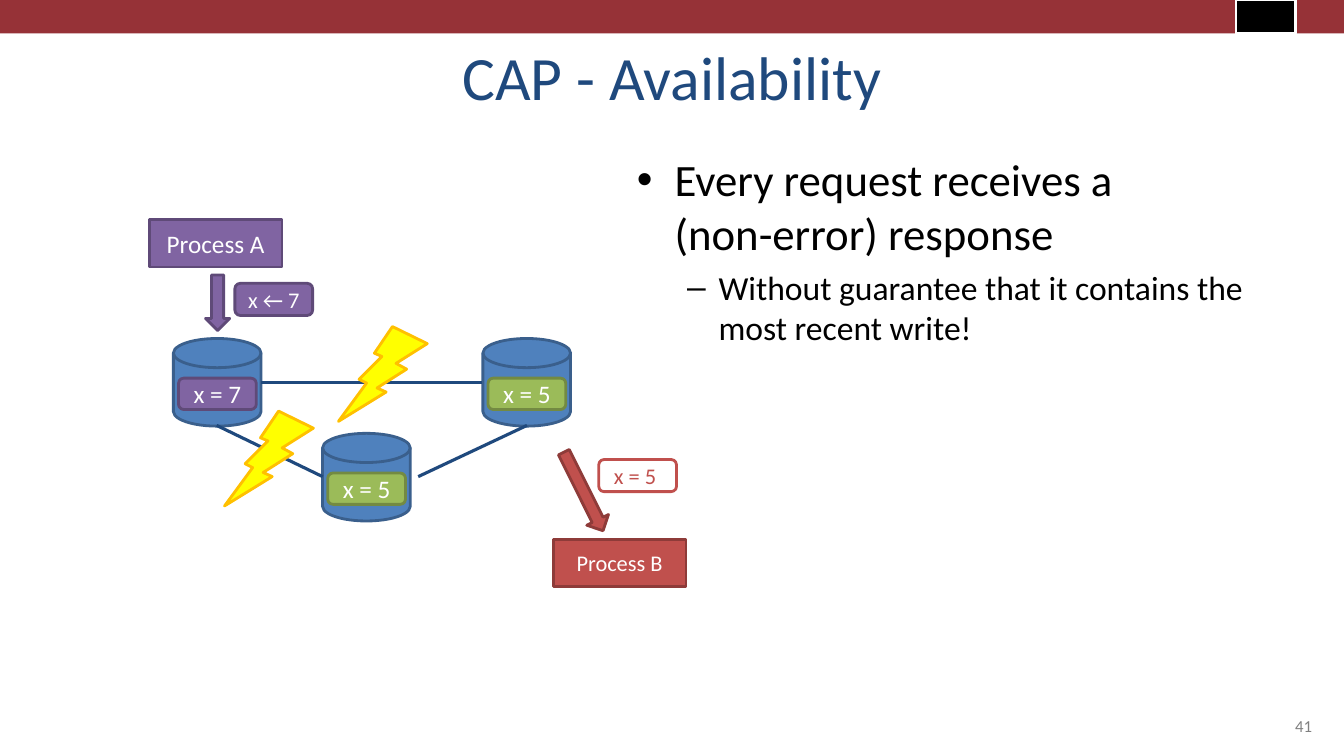
"""Build the CAP availability slide with its replicated store diagram."""
from lxml import etree
from pptx import Presentation
from pptx import util as u
from pptx.dml.color import RGBColor
from pptx.enum import shapes, text
from pptx.oxml import ns

CRIMSON = RGBColor(0x96, 0x32, 0x37)
NAVY = RGBColor(0x1F, 0x49, 0x7D)
BLACK = RGBColor(0x00, 0x00, 0x00)
WHITE = RGBColor(0xFF, 0xFF, 0xFF)
GRAY = RGBColor(0x80, 0x80, 0x80)
RED = RGBColor(0xC0, 0x50, 0x4D)
DARK_RED = RGBColor(0x8E, 0x3B, 0x39)
BLUE = RGBColor(0x4F, 0x81, 0xBD)
DARK_BLUE = RGBColor(0x3A, 0x5F, 0x8C)
PURPLE = RGBColor(0x80, 0x64, 0xA2)
DARK_PURPLE = RGBColor(0x5F, 0x4A, 0x78)
GREEN = RGBColor(0x9B, 0xBB, 0x59)
DARK_GREEN = RGBColor(0x73, 0x8A, 0x42)
YELLOW = RGBColor(0xFF, 0xFF, 0x00)
AMBER = RGBColor(0xFF, 0xC0, 0x00)

KIND = shapes.MSO_SHAPE
ALIGN = text.PP_ALIGN
ANCHOR = text.MSO_ANCHOR


def write(paragraph, words, size, color, align):
    paragraph.text = words
    paragraph.alignment = align
    font_format = {"name": "Calibri", "size": u.Pt(size)}
    for name, value in font_format.items():
        setattr(paragraph.font, name, value)
    paragraph.font.color.rgb = color


def add_block(kind, box, fill, outline, words="", size=18, color=WHITE):
    shape = slide.shapes.add_shape(kind, *map(u.Cm, box))
    shape.shadow.inherit = False
    shape.fill.solid()
    shape.fill.fore_color.rgb = fill
    shape.line.color.rgb = outline
    shape.line.width = u.Pt(2)
    if words:
        shape.text_frame.vertical_anchor = ANCHOR.MIDDLE
        write(shape.text_frame.paragraphs[0], words, size, color, ALIGN.CENTER)
    return shape


presentation = Presentation()
presentation.slide_width = u.Cm(33.87)
presentation.slide_height = u.Cm(19.05)
slide = presentation.slides.add_slide(presentation.slide_layouts[6])

band = add_block(KIND.RECTANGLE, (0, 0, 33.87, 0.84), CRIMSON, CRIMSON)
band.line.fill.background()
add_block(KIND.RECTANGLE, (31.15, 0, 1.5, 0.84), BLACK, WHITE)

captions = [
    ((1.7, 0.76, 30.48, 2.21), "CAP - Availability", 44, NAVY, ALIGN.CENTER),
    ((24.28, 17.35, 9.04, 1.32), "41", 12, GRAY, ALIGN.RIGHT),
]
for box, words, size, color, align in captions:
    frame = slide.shapes.add_textbox(*map(u.Cm, box)).text_frame
    frame.word_wrap = True
    frame.vertical_anchor = ANCHOR.BOTTOM
    write(frame.paragraphs[0], words, size, color, align)

body = slide.shapes.add_textbox(u.Cm(15.8), u.Cm(3.71), u.Cm(17.32), u.Cm(13.64)).text_frame
body.word_wrap = True
points = [
    ("Every request receives a \v(non-error) response", 32, "•", 0.95, 0.95, 0),
    ("Without guarantee that it contains the most recent write!", 24, "–", 2.06, 0.79, 4.8),
]
for level, (words, size, bullet, margin, hanging, before) in enumerate(points):
    paragraph = body.add_paragraph() if level else body.paragraphs[0]
    paragraph.level = level
    paragraph.space_before = u.Pt(before)
    properties = paragraph._p.get_or_add_pPr()
    properties.set("marL", str(u.Cm(margin)))
    properties.set("indent", str(-u.Cm(hanging)))
    etree.SubElement(properties, ns.qn("a:buFont")).set("typeface", "Arial")
    etree.SubElement(properties, ns.qn("a:buChar")).set("char", bullet)
    write(paragraph, words, size, BLACK, ALIGN.LEFT)

add_block(KIND.RECTANGLE, (13.94, 13.59, 3.35, 1.19), RED, DARK_RED, "Process B", 16)
reply_arrow = add_block(KIND.DOWN_ARROW, (14.4, 11.28, 0.61, 2.21), RED, DARK_RED)
reply_arrow.rotation = 333.5
add_block(KIND.ROUNDED_RECTANGLE, (15.09, 11.58, 1.96, 0.81), WHITE, RED, "x = 5 ", 16, RED)

replicas = [
    (4.37, 8.53, "x = 7", PURPLE, DARK_PURPLE),
    (8.13, 10.92, "x = 5", GREEN, DARK_GREEN),
    (12.17, 8.53, "x = 5", GREEN, DARK_GREEN),
]
for left, top, words, fill, outline in replicas:
    add_block(KIND.FLOWCHART_MAGNETIC_DISK, (left, top, 2.21, 2.21), BLUE, DARK_BLUE)
    value_box = (left + 0.13, top + 1, 1.96, 0.79)
    add_block(KIND.ROUNDED_RECTANGLE, value_box, fill, outline, words)

add_block(KIND.RECTANGLE, (3.76, 5.54, 3.35, 1.19), PURPLE, DARK_PURPLE, "Process A")
add_block(KIND.DOWN_ARROW, (5.18, 6.93, 0.61, 1.4), PURPLE, DARK_PURPLE)
add_block(KIND.ROUNDED_RECTANGLE, (5.92, 7.14, 1.96, 0.81), PURPLE, DARK_PURPLE, "x ← 7 ", 16)

links = [
    (5.46, 10.72, 8.13, 12.01),
    (10.54, 12.01, 13.28, 10.72),
    (6.58, 9.63, 12.14, 9.63),
]
for ends in links:
    link = slide.shapes.add_connector(shapes.MSO_CONNECTOR.STRAIGHT, *map(u.Cm, ends))
    link.line.color.rgb = NAVY
    link.line.width = u.Pt(2.25)
    etree.SubElement(link._element.spPr, ns.qn("a:effectLst"))

for left, top in [(5.66, 10.36), (8.53, 8.23)]:
    bolt = add_block(KIND.LIGHTNING_BOLT, (left, top, 2.24, 2.39), YELLOW, AMBER)
    bolt._element.spPr.xfrm.set("flipH", "1")

presentation.save("out.pptx")
